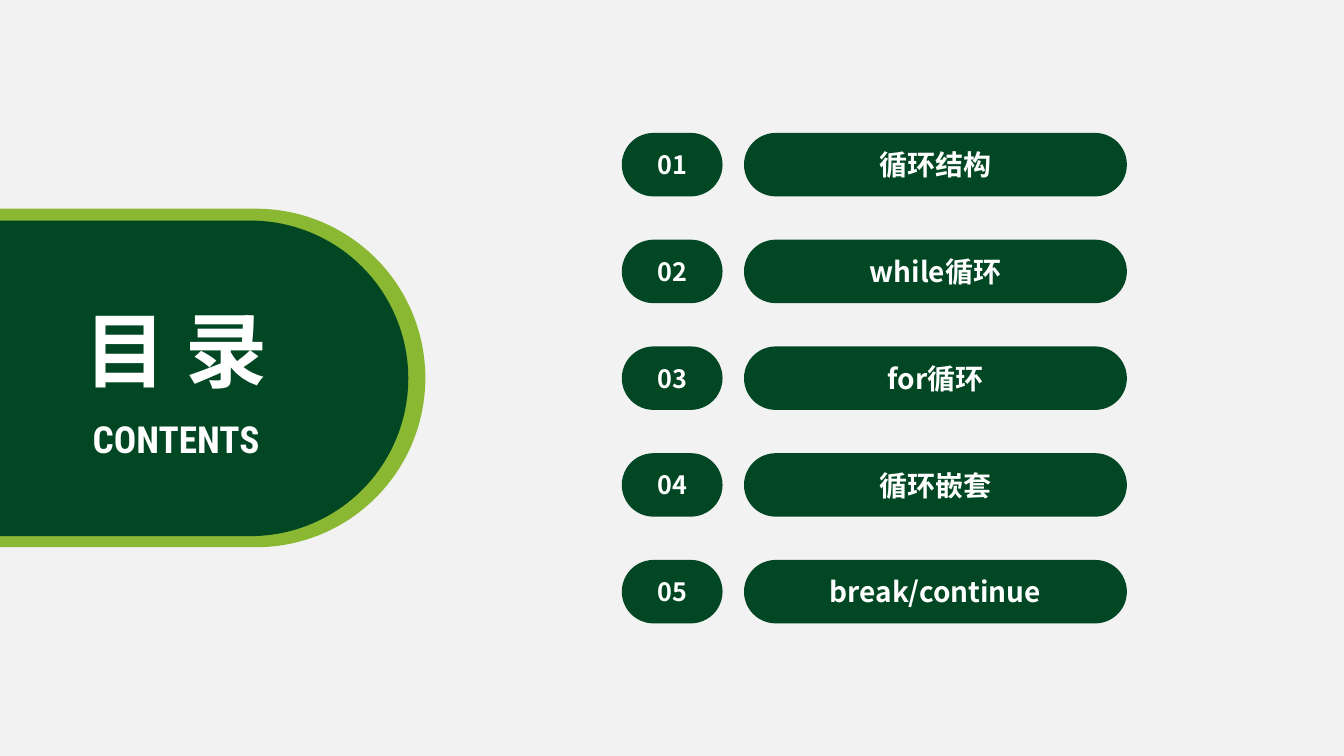
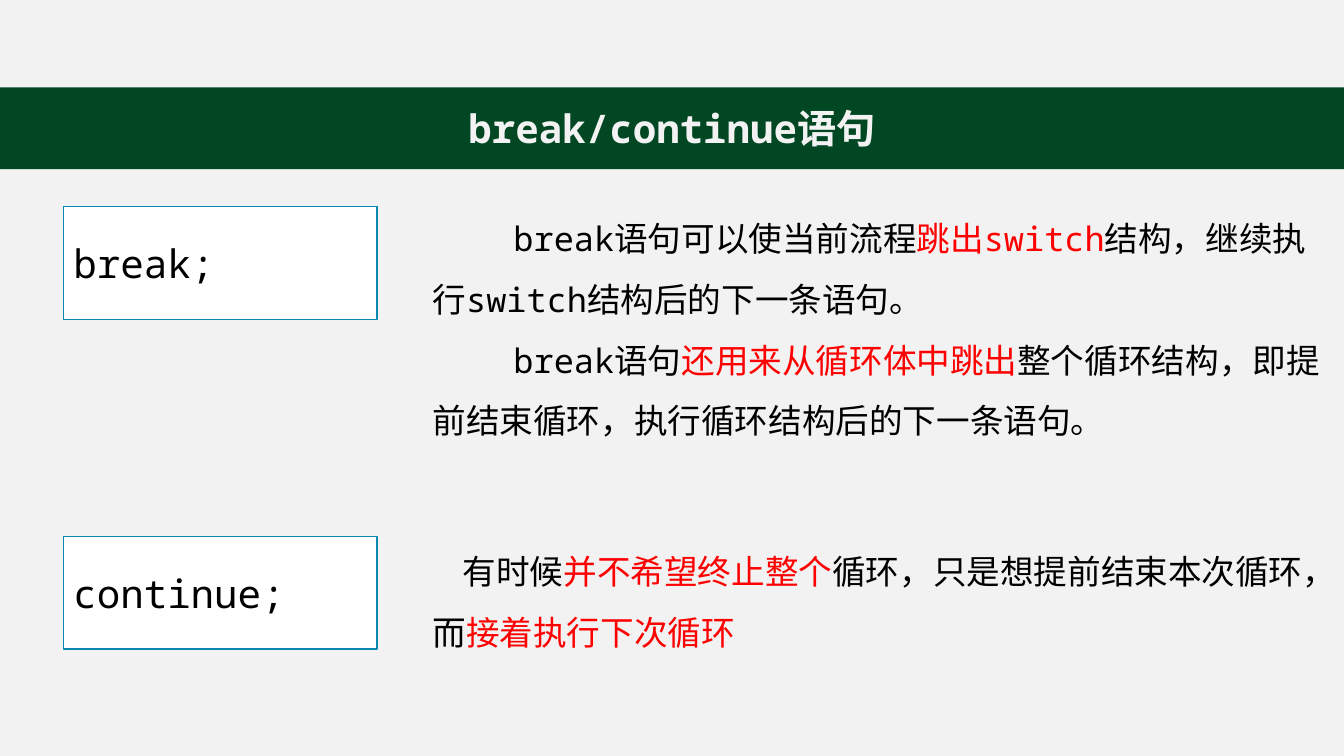
import lxml.etree
import pptx
import pptx.dml.color
import pptx.enum.shapes
import pptx.enum.text
import pptx.oxml.ns
import pptx.util

Cm = pptx.util.Cm
Pt = pptx.util.Pt
RGBColor = pptx.dml.color.RGBColor
Shapes = pptx.enum.shapes.MSO_SHAPE
Align = pptx.enum.text.PP_ALIGN
Anchor = pptx.enum.text.MSO_ANCHOR
qn = pptx.oxml.ns.qn

# Shared style
GREEN = RGBColor(0x01, 0x47, 0x23)
LIME = RGBColor(0x8A, 0xB8, 0x33)
PALE = RGBColor(0xF2, 0xF2, 0xF2)
WHITE = RGBColor(0xFF, 0xFF, 0xFF)
BLACK = RGBColor(0x00, 0x00, 0x00)
RED = RGBColor(0xFF, 0x00, 0x00)
BLUE = RGBColor(0x09, 0x89, 0xB1)
SANS = "Noto Sans CJK SC"
MONO = "Noto Sans Mono"
CONDENSED = "Roboto Condensed"


def add_box(page, kind, left, top, width, height, fill, line=None):
    """Add a filled preset shape; lengths in centimetres."""
    box = page.shapes.add_shape(kind, Cm(left), Cm(top), Cm(width), Cm(height))
    box.shadow.inherit = False
    box.fill.solid()
    box.fill.fore_color.rgb = fill
    if line is None:
        box.line.fill.background()
    else:
        box.line.color.rgb = line
        box.line.width = Pt(1)
    if kind == Shapes.ROUNDED_RECTANGLE:
        box.adjustments[0] = 0.5
    return box


def write(box, text, font=SANS, size=20, color=WHITE, bold=False,
          align=Align.CENTER, anchor=Anchor.MIDDLE, wrap=True,
          spacing=1.0, indent=0, margin=None):
    """Fill a shape with text: a line is a paragraph, |...| is red."""
    frame = box.text_frame
    frame.auto_size = pptx.enum.text.MSO_AUTO_SIZE.NONE
    frame.word_wrap = wrap
    frame.vertical_anchor = anchor
    if margin is not None:
        frame.margin_left = frame.margin_right = Cm(margin)
        frame.margin_top = frame.margin_bottom = Cm(margin)
    for number, line in enumerate(text.split("\n")):
        para = frame.add_paragraph() if number else frame.paragraphs[0]
        properties = para._p.get_or_add_pPr()
        properties.set("marL", "0")
        properties.set("indent", str(Cm(indent)))
        if box.is_placeholder:
            lxml.etree.SubElement(properties, qn("a:buNone"))
        para.alignment = align
        para.line_spacing = spacing
        para.space_before = Pt(0)
        for part, words in enumerate(line.split("|")):
            if not words:
                continue
            span = para.add_run()
            span.text = words
            span.font.size = Pt(size)
            span.font.bold = bold
            span.font.color.rgb = RED if part % 2 else color
            span.font.name = font
            east = lxml.etree.SubElement(span._r.get_or_add_rPr(), qn("a:ea"))
            east.set("typeface", SANS)


deck = pptx.Presentation()
deck.slide_width = Cm(33.87)
deck.slide_height = Cm(19.05)
background = deck.slide_master.background.fill
background.solid()
background.fore_color.rgb = PALE

# Contents: rounded panel on the left
page = deck.slides.add_slide(deck.slide_layouts[0])
add_box(page, Shapes.ROUNDED_RECTANGLE, -4.98, 5.26, 15.7, 8.53, LIME)
add_box(page, Shapes.ROUNDED_RECTANGLE, -4.32, 5.56, 14.61, 7.95, GREEN)

# Contents: numbered entries
entries = ["循环结构", "while循环", "for循环", "循环嵌套", "break/continue"]
for row, entry in enumerate(entries):
    top = 3.35 + row * 2.69
    for left, width, label, size in [(15.67, 2.54, f"{row + 1:02}", 18),
                                     (18.75, 9.65, entry, 20)]:
        pill = add_box(page, Shapes.ROUNDED_RECTANGLE, left, top, width, 1.6, GREEN)
        write(pill, label, size=size, bold=True)

# Contents: heading, brought in front of the panel
headings = [(page.shapes.title, 7.1, 3.35, "目 录", SANS, 58.6),
            (page.placeholders[1], 10.36, 1.4, "CONTENTS", CONDENSED, 26.6)]
for heading, top, height, text, font, size in headings:
    heading.left, heading.top = Cm(1.57), Cm(top)
    heading.width, heading.height = Cm(5.74), Cm(height)
    write(heading, text, font=font, size=size, bold=True, wrap=False)
    heading.element.getparent().append(heading.element)

# Statements: title band
page = deck.slides.add_slide(deck.slide_layouts[3])
title = page.shapes.title
title.left, title.top = Cm(0), Cm(2.2)
title.width, title.height = deck.slide_width, Cm(2.06)
title.fill.solid()
title.fill.fore_color.rgb = GREEN
write(title, "break/continue语句", font=MONO, size=28, color=PALE, bold=True)

# Statements: code box and explanation side by side
statements = [
    ("break;", 5.21, 4.99, 7.0, 2.04,
     "break语句可以使当前流程|跳出switch|结构，继续执行switch结构后的下一条语句。\n"
     "break语句|还用来从循环体中跳出|整个循环结构，即提前结束循环，执行循环结构后的下一条语句。"),
    ("continue;", 13.52, 13.38, 3.2, 0.76,
     "有时候|并不希望终止整个|循环，只是想提前结束本次循环，而|接着执行下次循环|"),
]
for index, (code, code_top, top, height, indent, text) in enumerate(statements, 1):
    box = add_box(page, Shapes.RECTANGLE, 1.6, code_top, 7.9, 2.84, WHITE, line=BLUE)
    write(box, code, font=MONO, size=28, color=BLACK, align=Align.LEFT)
    body = page.placeholders[index]
    body.left, body.top = Cm(10.9), Cm(top)
    body.width, body.height = Cm(22.48), Cm(height)
    write(body, text, font=MONO, size=24, color=BLACK, align=Align.LEFT,
          anchor=Anchor.TOP, spacing=Pt(43.3), indent=indent, margin=0)

deck.save("out.pptx")
